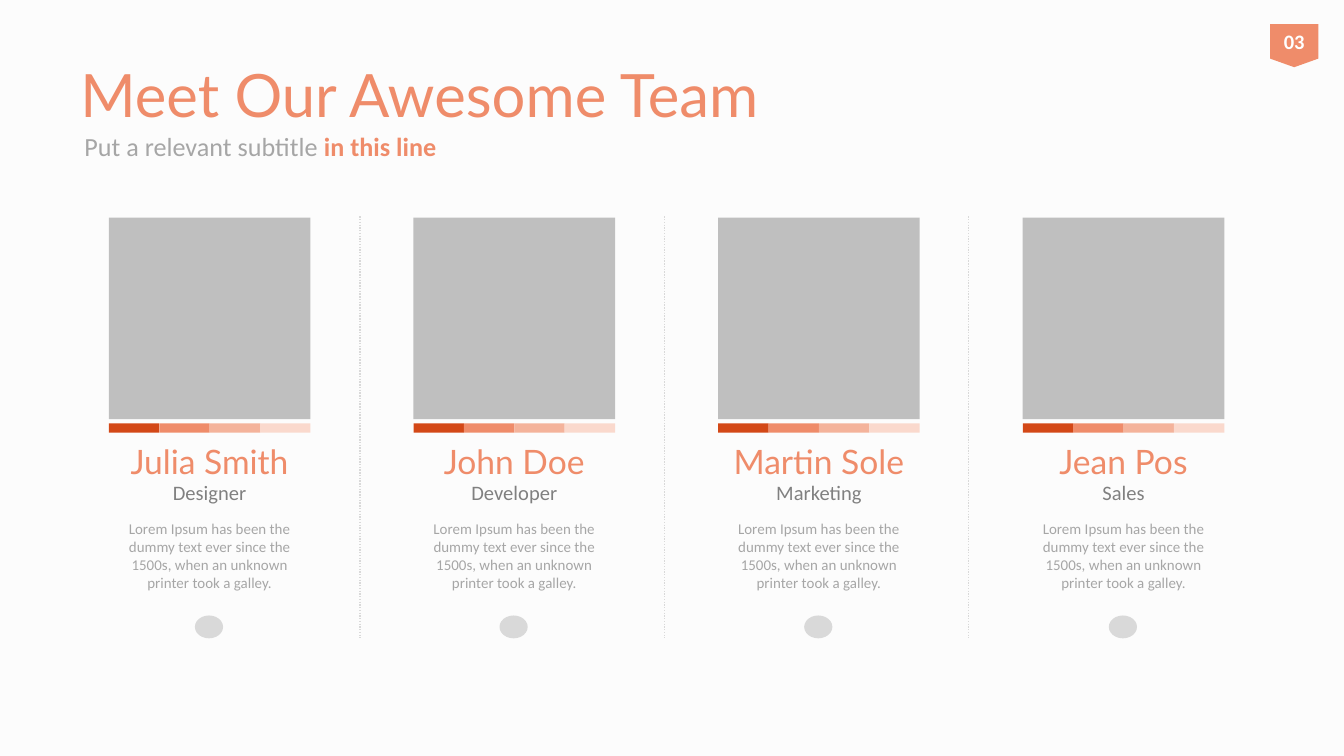
from lxml import etree
from pptx import Presentation
from pptx.dml.color import RGBColor
from pptx.enum.dml import MSO_LINE_DASH_STYLE as Dash
from pptx.enum.shapes import MSO_CONNECTOR as Connector, MSO_SHAPE as Shape
from pptx.enum.text import MSO_ANCHOR as Anchor, PP_ALIGN as Align
from pptx.oxml.ns import qn
from pptx.util import Inches, Pt

TITLE = "Meet Our Awesome Team"
SUBTITLE = ("Put a relevant subtitle ", "in this line")
PAGE_NUMBER = "03"
BIO = ("Lorem Ipsum has been the dummy text ever since the 1500s, "
       "when an unknown printer took a galley.")
TEAM = [
    ("Julia Smith", "Designer"),
    ("John Doe", "Developer"),
    ("Martin Sole", "Marketing"),
    ("Jean Pos", "Sales"),
]

THEME = {
    "background": "FCFCFC",
    "photo": "BFBFBF",
    "pale": "D9D9D9",
    "badge": "EF8C6A",
    "strip": ("D34817", "EF8C6A", "F4B39B", "FAD9CD"),
    # Text styles: font, size, colour, bold
    "title": ("Lato", 32, "EF8C6A", False),
    "subtitle": ("Calibri", 14, "A6A6A6", False),
    "accent": ("Calibri", 14, "EF8C6A", True),
    "name": ("Lato", 18, "EF8C6A", False),
    "role": ("Calibri", 11, "808080", False),
    "bio": ("Calibri", 8, "A6A6A6", False),
    "number": ("Calibri", 11, "FFFFFF", True),
}

SLIDE_WIDTH = Inches(10)
CARD_LEFT, CARD_WIDTH = 0.81, 1.5
CARD_PITCH = 6.8 / 3
DIVIDER_LEFT, DIVIDER_PITCH = 2.68, 6.79 / 3


def rgb(code):
    return RGBColor.from_string(code)


def write(box, spans, align=Align.LEFT, anchor=Anchor.TOP):
    """Fill a box with one paragraph of (text, style name) spans."""
    frame = box.text_frame
    frame.word_wrap = True
    frame.vertical_anchor = anchor
    para = frame.paragraphs[0]
    para.alignment = align
    for text, style in spans:
        span = para.add_run()
        span.text = text
        font = span.font
        font.name, size, color, font.bold = THEME[style]
        font.size = Pt(size)
        font.color.rgb = rgb(color)


def add_text(shapes, area, spans, **layout):
    write(shapes.add_textbox(*map(Inches, area)), spans, **layout)


def add_block(shapes, kind, area, color):
    block = shapes.add_shape(kind, *map(Inches, area))
    block.shadow.inherit = False
    block.fill.solid()
    block.fill.fore_color.rgb = rgb(color)
    block.line.fill.background()
    return block


def add_divider(shapes, x):
    divider = shapes.add_connector(
        Connector.STRAIGHT, Inches(x), Inches(1.61), Inches(x), Inches(4.75))
    divider.line.color.rgb = rgb(THEME["pale"])
    divider.line.width = Pt(0.75)
    divider.line.dash_style = Dash.ROUND_DOT
    properties = divider.line._get_or_add_ln().getparent()
    etree.SubElement(properties, qn("a:effectLst"))


def add_card(page, left, name, role):
    shapes = page.shapes.add_group_shape().shapes
    center = left + CARD_WIDTH / 2
    for text, style, top, width, height in (
        (BIO, "bio", 3.82, 1.68, 0.64),
        (name, "name", 3.23, 1.5, 0.5),
        (role, "role", 3.52, 1.62, 0.36),
    ):
        add_text(shapes, (center - width / 2, top, width, height),
                 [(text, style)], align=Align.CENTER)
    add_block(shapes, Shape.RECTANGLE, (left, 1.62, CARD_WIDTH, 1.5), THEME["photo"])
    step = CARD_WIDTH / len(THEME["strip"])
    for index, color in enumerate(THEME["strip"]):
        add_block(shapes, Shape.RECTANGLE, (left + index * step, 3.15, step, 0.07), color)
    add_block(shapes, Shape.OVAL, (center - 0.11, 4.58, 0.21, 0.17), THEME["pale"])


def main():
    deck = Presentation()
    deck.slide_width, deck.slide_height = SLIDE_WIDTH, SLIDE_WIDTH * 9 // 16
    page = deck.slides.add_slide(deck.slide_layouts[6])
    page.background.fill.solid()
    page.background.fill.fore_color.rgb = rgb(THEME["background"])

    add_text(page.shapes, (0.53, 0.89, 9, 0.4),
             zip(SUBTITLE, ("subtitle", "accent")), anchor=Anchor.MIDDLE)
    add_text(page.shapes, (0.5, 0.23, 9, 0.94), [(TITLE, "title")], anchor=Anchor.MIDDLE)

    for index in range(len(TEAM) - 1):
        add_divider(page.shapes, DIVIDER_LEFT + index * DIVIDER_PITCH)
    for index, (name, role) in enumerate(TEAM):
        add_card(page, CARD_LEFT + index * CARD_PITCH, name, role)

    badge = add_block(page.shapes, Shape.FLOWCHART_OFFPAGE_CONNECTOR,
                      (9.45, 0.18, 0.36, 0.32), THEME["badge"])
    badge.text_frame.margin_left = badge.text_frame.margin_right = 0
    write(badge, [(PAGE_NUMBER, "number")], align=Align.CENTER, anchor=Anchor.MIDDLE)

    deck.save("out.pptx")


if __name__ == "__main__":
    main()
